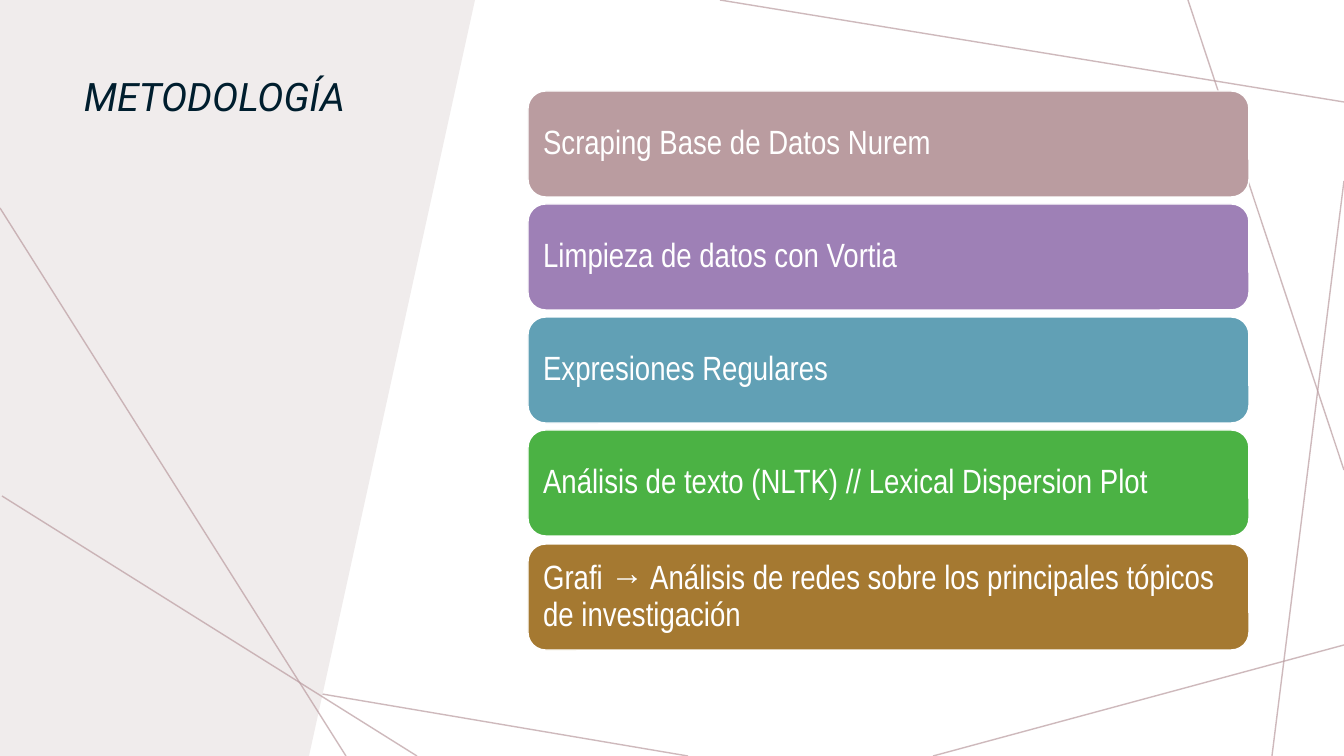
from lxml import etree
from pptx import Presentation
from pptx import util as u
from pptx.dml.color import RGBColor
from pptx.enum import shapes, text
from pptx.oxml import ns

EMU_PER_PX = 914400 / 100.8
SLIDE_WIDTH, SLIDE_HEIGHT = 1344, 756

WHITE = RGBColor(0xFF, 0xFF, 0xFF)
NAVY = RGBColor(0x00, 0x1E, 0x2E)
PALE = RGBColor(0xF0, 0xEC, 0xEC)
ROSE = RGBColor(0xBA, 0x9C, 0xA0)
PURPLE = RGBColor(0x9E, 0x80, 0xB6)
BLUE = RGBColor(0x61, 0xA0, 0xB5)
GREEN = RGBColor(0x4B, 0xB2, 0x44)
OCHRE = RGBColor(0xA5, 0x79, 0x31)

LINE_ALPHA = "70000"
BACK_LINES = [
    (322, 694, 688, 756),
    (933, 756, 1344, 645),
    (1272, 756, 1344, 181),
    (1188, 0, 1344, 470),
    (720, 0, 1344, 102),
]
FRONT_LINES = [(2, 496, 417, 756), (0, 208, 346, 756)]
PANEL_OUTLINE = [(309, 756), (0, 756), (0, 0), (475, 0)]

CARD_LEFT, CARD_WIDTH, CARD_HEIGHT = 528, 721, 106
FIRST_CARD_TOP, LAST_CARD_TOP = 91, 544
CARD_INSET = 10
STEPS = [
    ("Scraping Base de Datos Nurem", ROSE),
    ("Limpieza de datos con Vortia", PURPLE),
    ("Expresiones Regulares", BLUE),
    ("Análisis de texto (NLTK) // Lexical Dispersion Plot", GREEN),
    ("Grafi → Análisis de redes sobre los principales tópicos de investigación", OCHRE),
]

TITLE_FONT = {"name": "Roboto", "size": u.Pt(28), "italic": True}
CARD_FONT = {"name": "Arial Narrow", "size": u.Pt(24)}


def px(length):
    return u.Emu(round(length * EMU_PER_PX))


def set_attributes(target, values):
    for name, value in values.items():
        setattr(target, name, value)


def write_text(shape, words, font, color, anchor):
    frame = shape.text_frame
    set_attributes(frame, {"word_wrap": True, "vertical_anchor": anchor})
    paragraph = frame.paragraphs[0]
    set_attributes(paragraph, {"alignment": text.PP_ALIGN.LEFT, "line_spacing": 0.9})
    run = paragraph.add_run()
    run.text = words
    set_attributes(run.font, font)
    run.font.color.rgb = color


def add_line(slide, ends):
    line = slide.shapes.add_connector(
        shapes.MSO_CONNECTOR.STRAIGHT, *[px(value) for value in ends]
    )
    line.line.width = u.Pt(1)
    line.line.color.rgb = ROSE
    properties = line._element.spPr
    color = properties.find(".//" + ns.qn("a:srgbClr"))
    etree.SubElement(color, ns.qn("a:alpha"), val=LINE_ALPHA)
    etree.SubElement(properties, ns.qn("a:effectLst"))


def add_panel(slide):
    builder = slide.shapes.build_freeform(*PANEL_OUTLINE[0], scale=EMU_PER_PX)
    builder.add_line_segments(PANEL_OUTLINE[1:], close=True)
    panel = builder.convert_to_shape()
    panel.shadow.inherit = False
    panel.fill.solid()
    panel.fill.fore_color.rgb = PALE
    panel.line.fill.background()


def add_title(slide):
    title = slide.shapes.add_textbox(px(74), px(73), px(327), px(322))
    write_text(title, "METODOLOGÍA", TITLE_FONT, NAVY, text.MSO_ANCHOR.TOP)


def add_card(slide, top, words, color):
    card = slide.shapes.add_shape(
        shapes.MSO_SHAPE.ROUNDED_RECTANGLE,
        px(CARD_LEFT), px(top), px(CARD_WIDTH), px(CARD_HEIGHT),
    )
    card.shadow.inherit = False
    card.fill.solid()
    card.fill.fore_color.rgb = color
    card.line.color.rgb = WHITE
    card.line.width = u.Pt(1)
    sides = ("left", "top", "right", "bottom")
    set_attributes(card.text_frame, {f"margin_{side}": px(CARD_INSET) for side in sides})
    write_text(card, words, CARD_FONT, WHITE, text.MSO_ANCHOR.MIDDLE)


def main():
    presentation = Presentation()
    set_attributes(
        presentation,
        {"slide_width": px(SLIDE_WIDTH), "slide_height": px(SLIDE_HEIGHT)},
    )
    slide = presentation.slides.add_slide(presentation.slide_layouts[6])
    for ends in BACK_LINES:
        add_line(slide, ends)
    add_panel(slide)
    add_title(slide)
    for ends in FRONT_LINES:
        add_line(slide, ends)
    card_span = LAST_CARD_TOP - FIRST_CARD_TOP
    for index, (words, color) in enumerate(STEPS):
        top = FIRST_CARD_TOP + card_span * index // (len(STEPS) - 1)
        add_card(slide, top, words, color)
    presentation.save("out.pptx")


if __name__ == "__main__":
    main()
